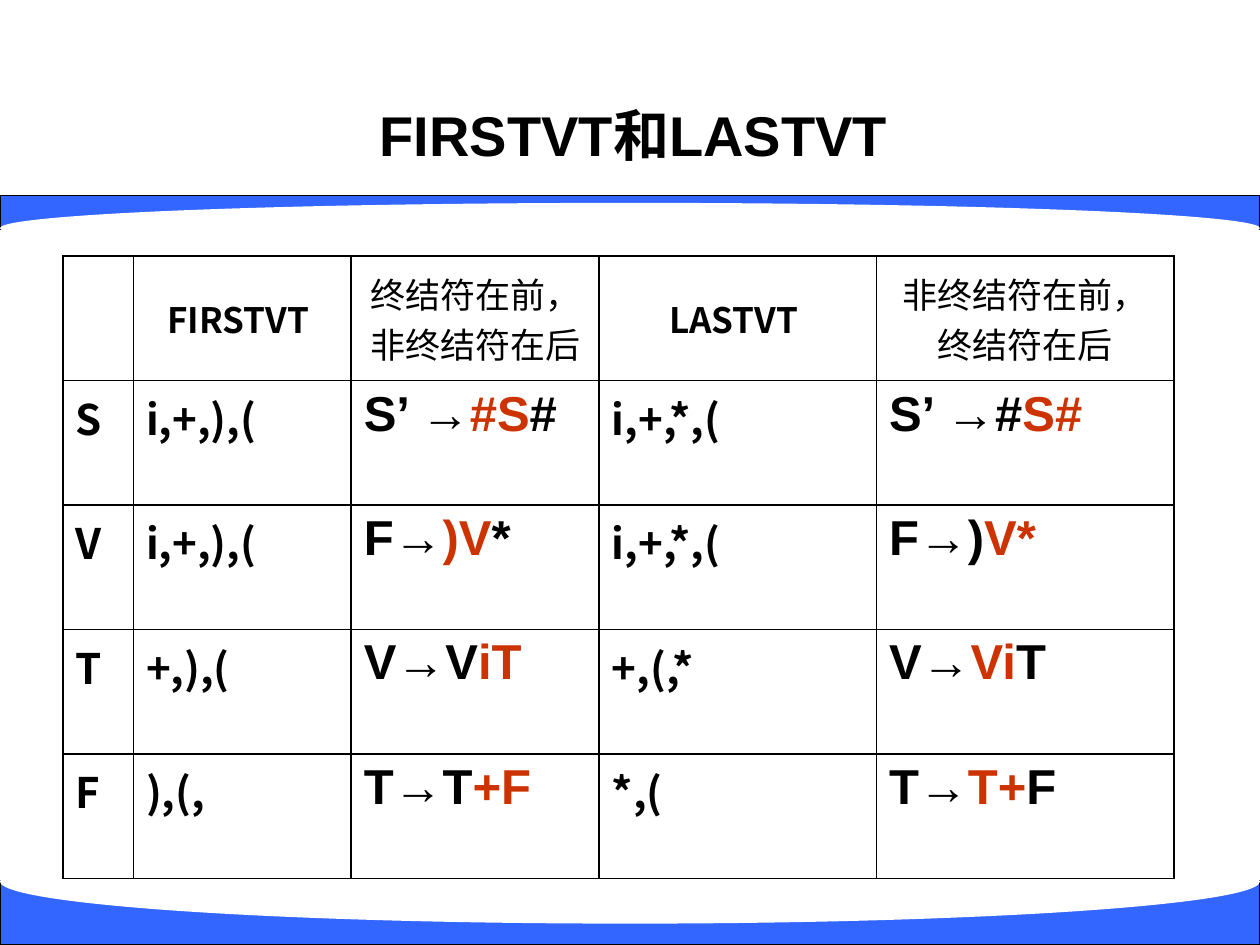
from lxml.etree import SubElement
from pptx import Presentation
from pptx.dml.color import RGBColor
from pptx.enum.shapes import MSO_SHAPE
from pptx.enum.text import MSO_ANCHOR, PP_ALIGN
from pptx.oxml.ns import qn
from pptx.util import Cm, Pt

SANS = "Noto Sans CJK SC"


def paint(color, code):
    color.rgb = RGBColor.from_string(code)


def write(para, text, size, face, bold=True):
    """Fill a paragraph; every second part between bars is red."""
    font = para.font
    font.size, font.name, font.bold = Pt(size), face, bold
    paint(font.color, "000000")
    SubElement(font._element, qn("a:ea"), typeface=SANS)
    for i, part in enumerate(text.split("|")):
        if part:
            run = para.add_run()
            run.text = part
            if i % 2:
                paint(run.font.color, "CC3300")


prs = Presentation()
prs.slide_width, prs.slide_height = Cm(25.4), Cm(19.05)
slide = prs.slides.add_slide(prs.slide_layouts[6])

# Blue bands, each curved by a white ellipse
bands = [
    (MSO_SHAPE.RECTANGLE, 3.94, 0.69, "3366FF"),
    (MSO_SHAPE.OVAL, 4.09, 1.02, "FFFFFF"),
    (MSO_SHAPE.RECTANGLE, 17.75, 1.3, "3366FF"),
    (MSO_SHAPE.OVAL, 16.92, 1.7, "FFFFFF"),
]
for kind, top, high, code in bands:
    band = slide.shapes.add_shape(kind, 0, Cm(top), Cm(25.4), Cm(high))
    band.shadow.inherit = False
    band.fill.solid()
    paint(band.fill.fore_color, code)
    if kind == MSO_SHAPE.OVAL:
        band.line.fill.background()
    else:
        paint(band.line.color, "000000")
        band.line.width = Pt(0.75)

# Title
box = slide.shapes.add_textbox(Cm(1.5), Cm(1.73), Cm(22.86), Cm(1.96))
frame = box.text_frame
frame.word_wrap = True
frame.vertical_anchor = MSO_ANCHOR.MIDDLE
title = frame.paragraphs[0]
title.alignment = PP_ALIGN.CENTER
write(title, "FIRSTVT和LASTVT ", 32, "Arial")

# Table of sets and the rules they come from
rows = [
    ["", "FIRSTVT ", "终结符在前，非终结符在后", "LASTVT ", "非终结符在前，终结符在后"],
    ["S", "i,+,),(", "S’ →|#S|#", "i,+,*,(", "S’ →#|S#"],
    ["V", "i,+,),(", "F→|)V|*", "i,+,*,(", "F→)|V*"],
    ["T", "+,),(", "V→V|iT", "+,(,*", "V→|Vi|T"],
    ["F", "),(,", "T→T|+F", "*,(", "T→|T+|F"],
]
wide = [1.42, 4.39, 5, 5.59, 6]
high = 2.51
table = slide.shapes.add_table(
    len(rows), len(wide), Cm(1.27), Cm(5.16), Cm(sum(wide)), Cm(high * len(rows))
).table
table.first_row = table.horz_banding = False
for col, width in zip(table.columns, wide):
    col.width = Cm(width)

for r, row in enumerate(rows):
    table.rows[r].height = Cm(high)
    for c, text in enumerate(row):
        cell = table.cell(r, c)
        para = cell.text_frame.paragraphs[0]
        rule = c in (2, 4)
        if r == 0:
            cell.vertical_anchor = MSO_ANCHOR.MIDDLE
            para.alignment = PP_ALIGN.CENTER
            write(para, text, 20, SANS, bold=not rule)
        elif rule:
            write(para, text, 28, "Arial")
        else:
            write(para, text, 24, SANS)

        # Hanging indent, except in the wrapped headings
        if r or not rule:
            props = para._p.get_or_add_pPr()
            props.set("marL", str(Cm(0.95)))
            props.set("indent", str(-Cm(0.95)))

        # Black borders, no fill
        frame = cell._tc.get_or_add_tcPr()
        for side in ("lnL", "lnR", "lnT", "lnB"):
            edge = SubElement(frame, qn("a:" + side), w=str(Pt(1)))
            fill = SubElement(edge, qn("a:solidFill"))
            SubElement(fill, qn("a:srgbClr"), val="000000")
        cell.fill.background()

prs.save("out.pptx")
